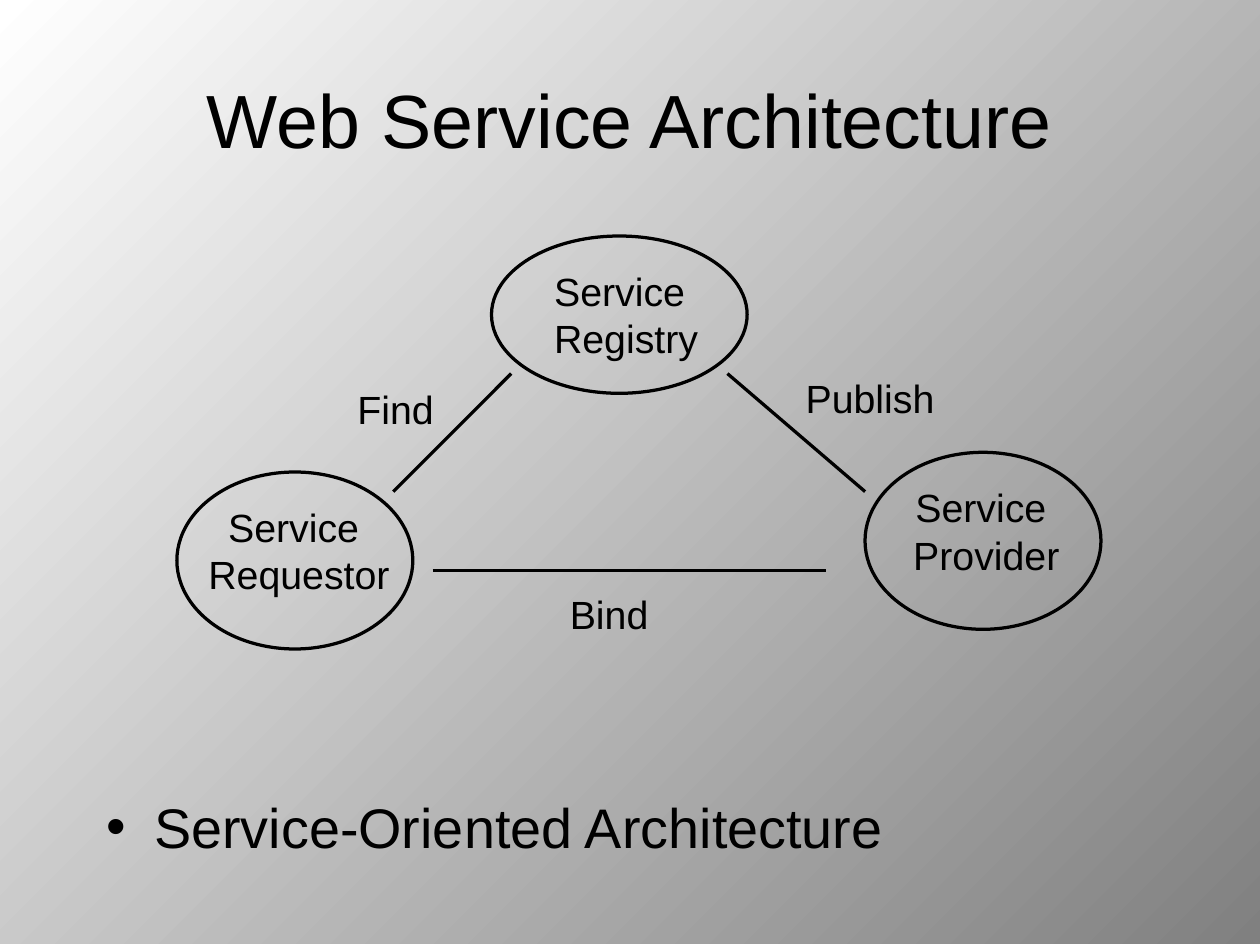
from lxml import etree
from pptx import Presentation
from pptx.dml.color import RGBColor
from pptx.enum.shapes import MSO_CONNECTOR, MSO_SHAPE
from pptx.enum.text import MSO_ANCHOR, MSO_AUTO_SIZE, PP_ALIGN
from pptx.oxml.ns import qn
from pptx.util import Pt

LEFT, CENTER = PP_ALIGN.LEFT, PP_ALIGN.CENTER
TOP, MIDDLE = MSO_ANCHOR.TOP, MSO_ANCHOR.MIDDLE
OVAL, STRAIGHT = MSO_SHAPE.OVAL, MSO_CONNECTOR.STRAIGHT
NO_FIT = MSO_AUTO_SIZE.NONE

# Content; boxes are left, top, width, height in points
TITLE = "Web Service Architecture"
BULLET = "Service-Oriented Architecture"
BACKGROUND = ("808080", "FFFFFF")
INK = "000000"
ROLES = [  # lines, ellipse box, text box, alignment, wrap
    (["Service Registry"], (150, 72, 78, 48), (162, 78, 60, 36), LEFT, True),
    (["Service ", "Requestor"], (54, 144, 72, 54), (56.3, 150, 70, 36), CENTER, False),
    (["Service ", "Provider"], (264, 138, 72, 54), (271.5, 144, 59, 36), CENTER, False),
]
RELATIONS = [  # label, label box, line from x, y to x, y
    ("Find", (102, 114, 37.5, 21.6), (156, 114, 120, 150)),
    ("Publish", (238.8, 110.7, 53, 21.6), (222, 114, 264, 150)),
    ("Bind", (166.8, 176.4, 38, 21.6), (132, 174, 252, 174)),
]


def rgb(value):
    return RGBColor.from_string(value)


def pts(values):
    return [Pt(v) for v in values]


def write(sp, lines, size, align=LEFT, anchor=TOP, wrap=True, inset=(7.2, 3.6)):
    tf = sp.text_frame
    x, y = pts(inset)
    frame = dict(margin_left=x, margin_right=x, margin_top=y, margin_bottom=y,
                 word_wrap=wrap, auto_size=NO_FIT, vertical_anchor=anchor)
    for name, value in frame.items():
        setattr(tf, name, value)
    tf.text = "\n".join(lines)
    for p in tf.paragraphs:
        p.alignment = align
        for r in p.runs:
            r.font.name, r.font.size = "Arial", Pt(size)
            r.font.color.rgb = rgb(INK)
    return tf


def place(sp, box):
    sp.left, sp.top, sp.width, sp.height = pts(box)


def outline(sp):
    sp.line.color.rgb = rgb(INK)
    sp.line.width = Pt(0.99)


prs = Presentation()
prs.slide_width, prs.slide_height = Pt(384.48), Pt(288)
s = prs.slides.add_slide(prs.slide_layouts[1])

# Background gradient
fill = s.background.fill
fill.gradient()
fill.gradient_angle = 135
for stop, color, position in zip(fill.gradient_stops, BACKGROUND, (0, 1)):
    stop.color.rgb = rgb(color)
    stop.position = position

# Title and bullet
title, body = s.placeholders
place(title, (28.8, 12, 326.88, 48))
write(title, [TITLE], 23, CENTER, MIDDLE, inset=(3.6, 2))
place(body, (28.8, 239.8, 326.88, 32.4))
p = write(body, [BULLET], 17, inset=(3.8, 2)).paragraphs[0]
p.space_before = Pt(4.2)
pPr = p._p.get_or_add_pPr()
pPr.set("marL", str(Pt(14.4)))
pPr.set("indent", str(Pt(-14.4)))
etree.SubElement(pPr, qn("a:buChar")).set("char", "•")

# Roles: an ellipse grouped with its text
for lines, oval_box, text_box, align, wrap in ROLES:
    group = s.shapes.add_group_shape()
    oval = group.shapes.add_shape(OVAL, *pts(oval_box))
    oval.shadow.inherit = False
    oval.fill.background()
    outline(oval)
    write(group.shapes.add_textbox(*pts(text_box)), lines, 12, align, wrap=wrap)

# Relations: lines and their labels
for label, box, ends in RELATIONS:
    line = s.shapes.add_connector(STRAIGHT, *pts(ends))
    outline(line)
    etree.SubElement(line._element.spPr, qn("a:effectLst"))
    write(s.shapes.add_textbox(*pts(box)), [label], 12, wrap=False)

prs.save("out.pptx")
